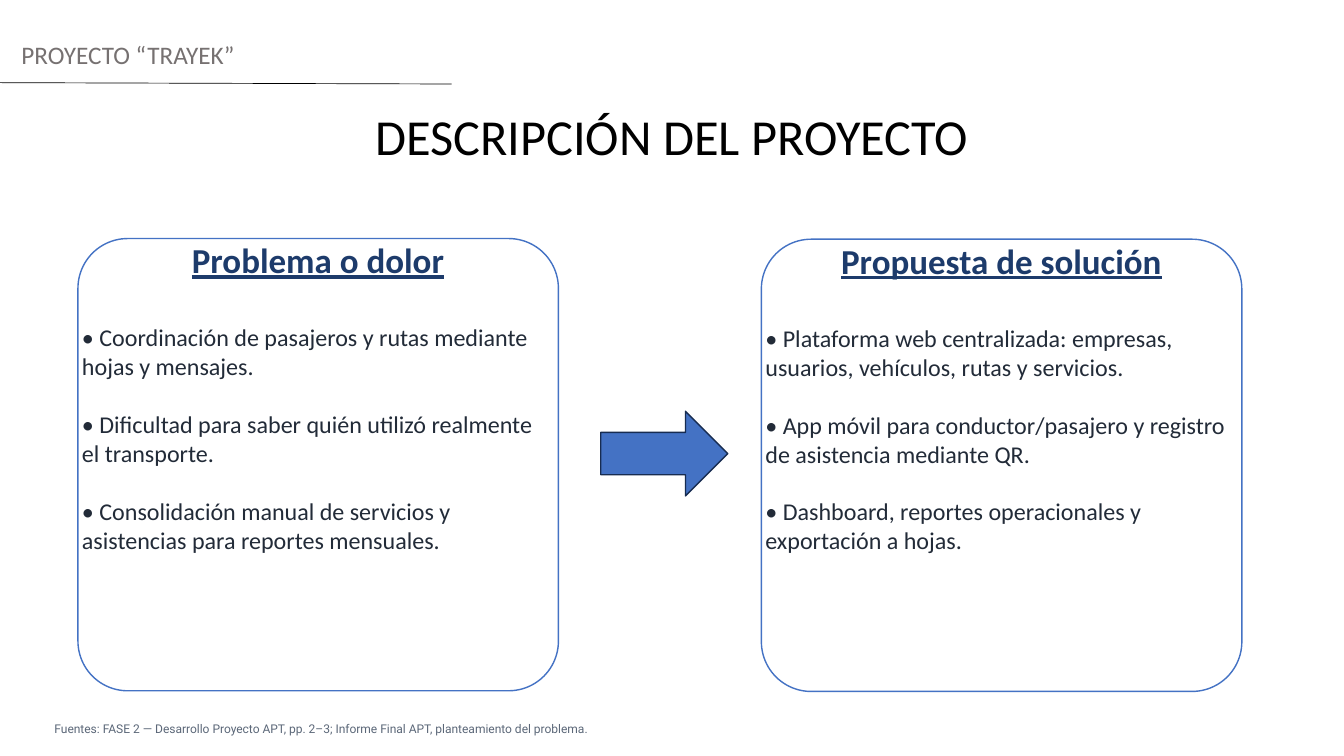
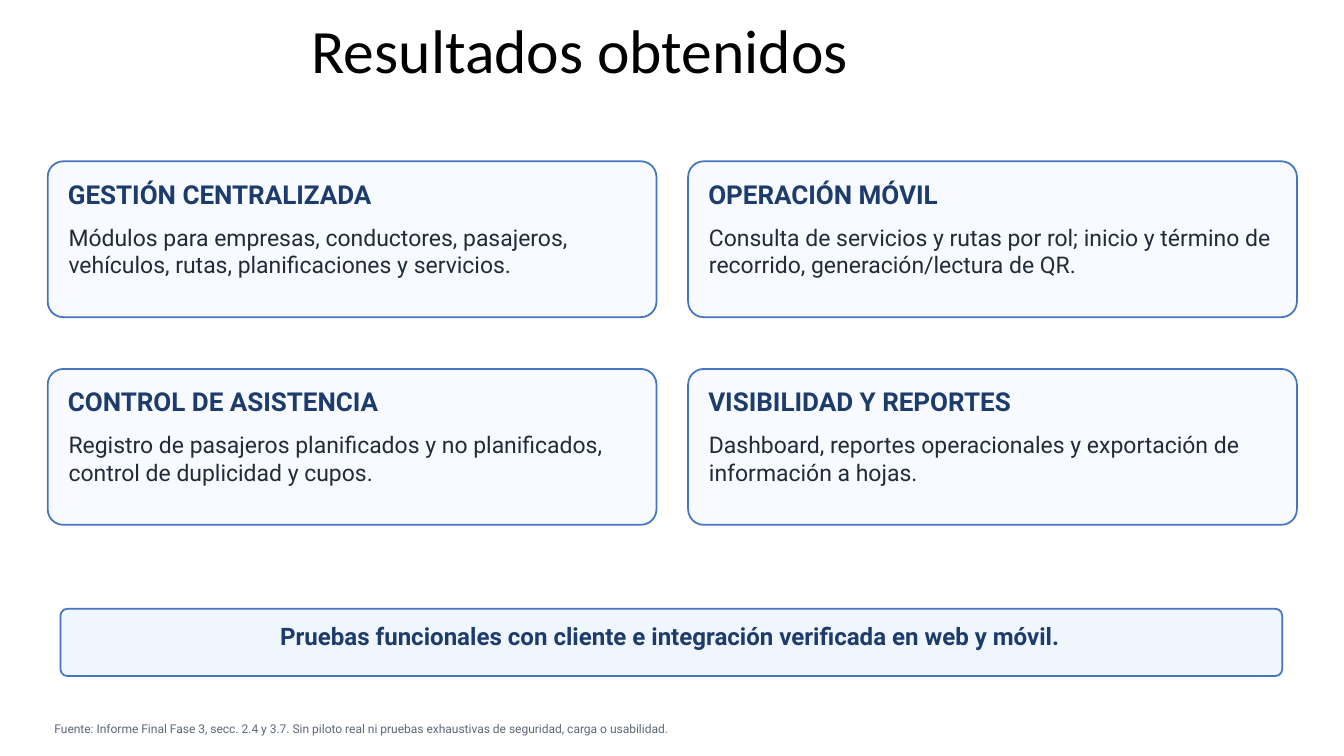
from pptx import Presentation
from pptx.dml.color import RGBColor
from pptx.enum.shapes import MSO_CONNECTOR as Link, MSO_SHAPE as Kind
from pptx.enum.text import MSO_ANCHOR as Anchor, MSO_AUTO_SIZE as Fit, PP_ALIGN as Align
from pptx.oxml.ns import qn
from pptx.util import Inches, Pt
from lxml import etree

# Grid: 20 columns by 11.25 rows, each cell one inch square
COLS, ROWS, CELL = 20, 11.25, Inches(1)

BLACK, WHITE = "000000", "FFFFFF"
NAVY, INK, GRAY, SLATE = "1D3B6B", "222B38", "767171", "5B6778"
BLUE, EDGE, RIM = "4472C4", "4474C2", "172C51"
PALE, TINT = "F7FAFF", "EFF6FD"
SANS, BODY = "Calibri", "Roboto"


def color(code):
    return RGBColor.from_string(code)


def span(*cells):
    return [int(cell * CELL) for cell in cells]


def style(para, size, font, ink, bold=False, under=False, align=Align.LEFT, before=0):
    para.alignment = align
    para.line_spacing = Pt(round(size * 1.2, 1))
    para.space_before = Pt(before)
    for run in para.runs:
        face = run.font
        face.size, face.name = Pt(size), font
        face.bold, face.underline = bold, under
        face.color.rgb = color(ink)


def frame(shape, inset=0):
    text = shape.text_frame
    text.word_wrap, text.auto_size = True, Fit.NONE
    text.vertical_anchor = Anchor.TOP
    text.margin_left = text.margin_right = Inches(inset)
    text.margin_top = text.margin_bottom = Inches(inset)
    return text


def label(slide, box, words, *look, **more):
    text = frame(slide.shapes.add_textbox(*span(*box)))
    text.text = words
    style(text.paragraphs[0], *look, **more)


def block(slide, kind, box, fill, line, width, curve=None):
    shape = slide.shapes.add_shape(kind, *span(*box))
    shape.shadow.inherit = False
    shape.fill.solid()
    shape.fill.fore_color.rgb = color(fill)
    shape.line.color.rgb = color(line)
    shape.line.width = Pt(width)
    if curve:
        shape.adjustments[0] = curve


def start(deck, title, box, size, source):
    """New slide with its title and source line."""
    slide = deck.slides.add_slide(deck.slide_layouts[5])
    head = slide.shapes.title
    head.left, head.top, head.width, head.height = span(*box)
    frame(head).text = title
    style(head.text_frame.paragraphs[0], size, SANS, BLACK, align=Align.CENTER)
    label(slide, (0.81, 10.74, 18.25, 0.22), source, 12.9, BODY, SLATE)
    return slide


def header(slide, words):
    """Project name above a thin rule."""
    label(slide, (0.32, 0.59, 19.5, 0.57), words, 27, SANS, GRAY)
    rule = slide.shapes.add_connector(Link.STRAIGHT, *span(0, 1.23, 6.72, 1.25))
    rule.line.color.rgb = color(BLACK)
    rule.line.width = Pt(0.75)
    etree.SubElement(rule._element.spPr, qn("a:effectLst"))


def panel(slide, box, head, points):
    """Rounded panel: underlined heading, then spaced points."""
    left, top, wide, high = box
    block(slide, Kind.ROUNDED_RECTANGLE, box, WHITE, BLUE, 1.5, 0.11)
    area = slide.shapes.add_textbox(*span(left, top - 0.06, wide, high + 0.06))
    text = frame(area, 0.06)
    text.text = head
    style(text.paragraphs[0], 37.5, SANS, NAVY, True, True, Align.CENTER)
    for rank, point in enumerate(points):
        para = text.add_paragraph()
        para.text = "• " + point
        style(para, 25.8, SANS, INK, before=30.9 if rank else 45)


def card(slide, box, head, words):
    """Tinted card: heading over a short text."""
    left, top, wide, high = box
    block(slide, Kind.ROUNDED_RECTANGLE, box, PALE, EDGE, 1.87, 0.1)
    inner = wide - 0.6
    label(slide, (left + 0.3, top + 0.25, inner, 0.51), head, 27.9, BODY, NAVY, True)
    label(slide, (left + 0.31, top + 0.92, inner, 1.23), words, 24.6, BODY, INK)


def banner(slide, box, words):
    """Closing statement in a wide band."""
    left, top, wide, high = box
    block(slide, Kind.ROUNDED_RECTANGLE, box, TINT, EDGE, 1.87, 0.1)
    label(slide, (left + 0.24, top + 0.19, wide - 0.52, 0.54), words,
          25.8, BODY, NAVY, True, align=Align.CENTER)


def project(deck):
    slide = start(deck, "DESCRIPCIÓN DEL PROYECTO", (0.1, 1.57, 19.8, 1.09), 54,
                  "Fuentes: FASE 2 — Desarrollo Proyecto APT, pp. 2–3; "
                  "Informe Final APT, planteamiento del problema.")
    header(slide, "PROYECTO “TRAYEK”")
    sides = [
        ("Problema o dolor", [
            "Coordinación de pasajeros y rutas mediante hojas y mensajes.",
            "Dificultad para saber quién utilizó realmente el transporte.",
            "Consolidación manual de servicios y asistencias para reportes mensuales."]),
        ("Propuesta de solución", [
            "Plataforma web centralizada: empresas, usuarios, vehículos, rutas y servicios.",
            "App móvil para conductor/pasajero y registro de asistencia mediante QR.",
            "Dashboard, reportes operacionales y exportación a hojas."]),
    ]
    for col, (head, points) in enumerate(sides):
        panel(slide, (1.16 + col * 10.17, 3.55 + col * 0.01, 7.15, 6.73), head, points)
    block(slide, Kind.RIGHT_ARROW, (8.94, 6.12, 1.89, 1.26), BLUE, RIM, 1.5)


def results(deck):
    slide = start(deck, "Resultados obtenidos", (-1.27, 0.17, 19.8, 1.32), 66,
                  "Fuente: Informe Final Fase 3, secc. 2.4 y 3.7. Sin piloto real ni "
                  "pruebas exhaustivas de seguridad, carga o usabilidad.")
    cards = [
        ("GESTIÓN CENTRALIZADA", "Módulos para empresas, conductores, pasajeros, "
         "vehículos, rutas, planificaciones y servicios."),
        ("OPERACIÓN MÓVIL", "Consulta de servicios y rutas por rol; inicio y término de "
         "recorrido, generación/lectura de QR."),
        ("CONTROL DE ASISTENCIA", "Registro de pasajeros planificados y no planificados, "
         "control de duplicidad y cupos."),
        ("VISIBILIDAD Y REPORTES", "Dashboard, reportes operacionales y exportación de "
         "información a hojas."),
    ]
    for rank, (head, words) in enumerate(cards):
        row, col = divmod(rank, 2)
        card(slide, (0.71 + col * 9.53, 2.4 + row * 3.09, 9.06, 2.32), head, words)
    banner(slide, (0.9, 9.06, 18.18, 1),
           "Pruebas funcionales con cliente e integración verificada en web y móvil.")


def main():
    deck = Presentation()
    deck.slide_width, deck.slide_height = span(COLS, ROWS)
    project(deck)
    results(deck)
    deck.save("out.pptx")


if __name__ == "__main__":
    main()
